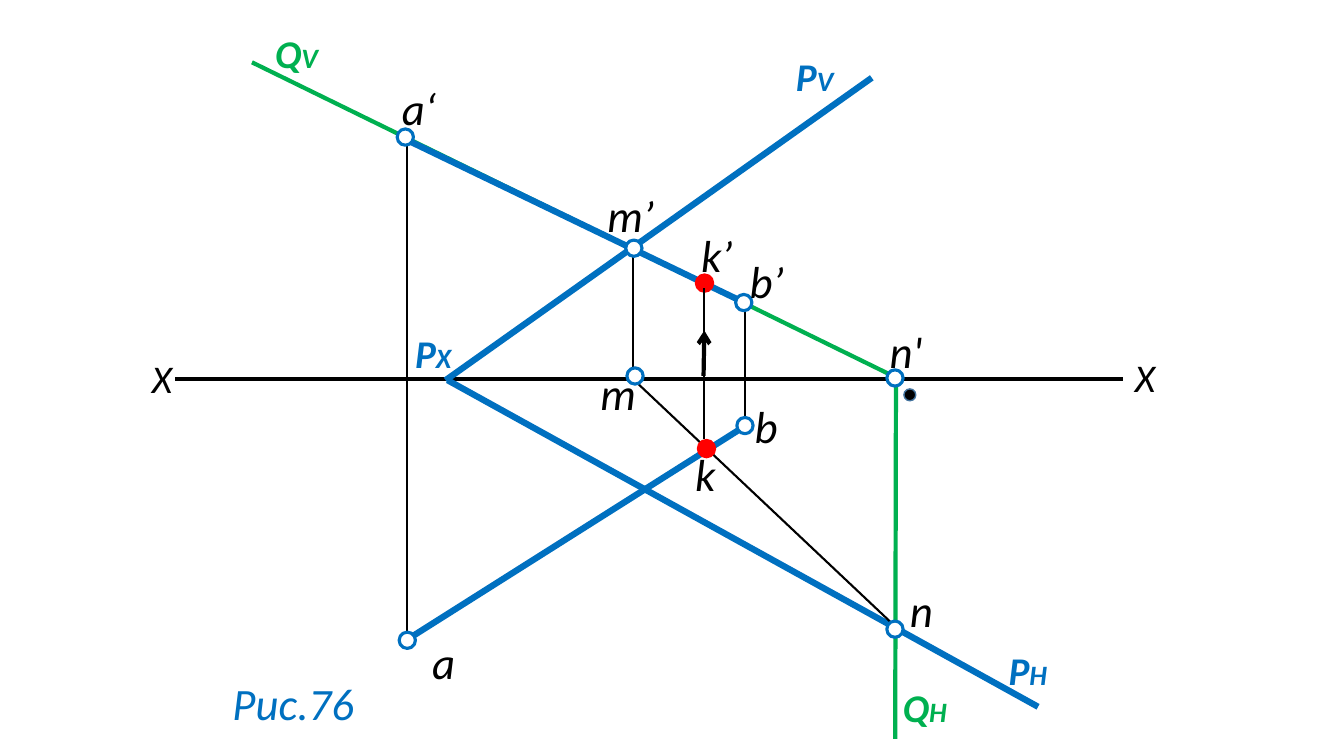
from lxml.etree import SubElement
from pptx import Presentation
from pptx.dml.color import RGBColor
from pptx.enum.shapes import MSO_CONNECTOR as CONNECTOR, MSO_SHAPE as SHAPE
from pptx.enum.text import MSO_AUTO_SIZE as AUTO_SIZE
from pptx.oxml.ns import qn
from pptx.util import Cm, Pt

BLACK = RGBColor(0x00, 0x00, 0x00)
WHITE = RGBColor(0xFF, 0xFF, 0xFF)
BLUE = RGBColor(0x00, 0x70, 0xC0)
GREEN = RGBColor(0x00, 0xB0, 0x50)
RED = RGBColor(0xFF, 0x00, 0x00)
STEEL = RGBColor(0x43, 0x73, 0x9E)

PLANES_AND_AXIS = [
    (15.95, 6.27, 15.95, 9.5, BLACK, 1.5),
    (22.66, 9.55, 6.35, 1.57, GREEN, 3),
    (18.77, 7.54, 18.77, 10.85, BLACK, 1.5),
    (28.3, 9.55, 4.42, 9.55, BLACK, 3),
    (26.16, 17.81, 11.28, 9.58, BLUE, 4.5),
    (21.97, 1.96, 11.23, 9.58, BLUE, 4.5),
    (18.85, 7.67, 10.26, 3.53, BLUE, 4.5),
    (10.26, 3.56, 10.26, 16.05, BLACK, 1.5),
    (15.93, 9.53, 22.63, 15.85, BLACK, 1.5),
    (22.58, 9.63, 22.56, 18.62, GREEN, 3),
]
ARROW = (17.73, 9.47, 17.75, 8.33, BLACK, 3)
SEGMENT_AB = (18.72, 10.77, 10.21, 16.15, BLUE, 4.5)
PROJECTION_K = (17.75, 7.26, 17.75, 11.07, BLACK, 1.5)

OPEN_POINTS = [
    (18.57, 10.52), (10.06, 15.93), (10.01, 3.25), (22.35, 15.65),
    (15.8, 9.27), (15.77, 6.05), (18.54, 7.42), (22.35, 9.32),
]
RED_POINTS = [(17.6, 11.1), (17.55, 6.93)]

POINT_LABELS = [
    ("n'", 22.17, 8.03, 1.75),
    ("m’", 15.06, 4.6, 1.75),
    ("m", 14.88, 9.09, 1.09),
    ("a", 10.64, 15.88, 1.09),
    ("a‘", 9.88, 1.91, 1.6),
    ("b", 18.77, 9.91, 1.09),
    ("b’", 18.64, 6.27, 1.6),
    ("n", 22.68, 14.55, 1.09),
    ("k’", 17.42, 5.61, 1.55),
    ("k", 17.27, 11.13, 1.09),
]
AXIS_LABELS = [("X", 28.35, 8.79, 2.26), ("X", 3.58, 8.81, 1.68)]
TRACE_LABELS = [
    ("Q", "H", 22.5, 17.09, GREEN),
    ("Q", "V", 6.68, 0.61, GREEN),
    ("P", "X", 10.21, 8.18, BLUE),
    ("P", "V", 19.81, 1.19, BLUE),
    ("P", "H", 25.17, 16.15, BLUE),
]


def add_line(s, x1, y1, x2, y2, color, width, arrow=False):
    """Draw a straight line, optionally with an open arrowhead at its end."""
    line = s.shapes.add_connector(CONNECTOR.STRAIGHT, Cm(x1), Cm(y1), Cm(x2), Cm(y2))
    line.line.color.rgb = color
    line.line.width = Pt(width)
    if arrow:
        SubElement(line.line._get_or_add_ln(), qn("a:tailEnd"), type="arrow")
    SubElement(line._element.spPr, qn("a:effectLst"))


def add_point(s, x, y, fill, outline, size=0.41, width=2.25):
    """Draw a round point marker."""
    sp = s.shapes.add_shape(SHAPE.OVAL, Cm(x), Cm(y), Cm(size), Cm(size))
    sp.shadow.inherit = False
    sp.fill.solid()
    sp.fill.fore_color.rgb = fill
    sp.line.color.rgb = outline
    sp.line.width = Pt(width)


def add_label(s, text, x, y, width, size=32, color=BLACK, index=""):
    """Write an italic label; a label with a smaller index is bold."""
    height = 1.63 if size == 32 else 1.45
    tf = s.shapes.add_textbox(Cm(x), Cm(y), Cm(width), Cm(height)).text_frame
    tf.word_wrap = True
    tf.auto_size = AUTO_SIZE.SHAPE_TO_FIT_TEXT
    p = tf.paragraphs[0]
    for part, part_size in ((text, size), (index, 20)):
        if part:
            r = p.add_run()
            r.text = part
            r.font.name = "Calibri"
            r.font.size = Pt(part_size)
            r.font.italic = True
            r.font.bold = bool(index)
            r.font.color.rgb = color


def main():
    """Build the slide and save it."""
    prs = Presentation()
    prs.slide_width, prs.slide_height = Cm(33.87), Cm(19.05)
    s = prs.slides.add_slide(prs.slide_layouts[6])

    for line in PLANES_AND_AXIS:
        add_line(s, *line)
    add_line(s, *ARROW, arrow=True)
    add_line(s, *SEGMENT_AB)

    for x, y in OPEN_POINTS:
        add_point(s, x, y, WHITE, BLUE)
    for x, y in RED_POINTS:
        add_point(s, x, y, RED, RED)
    add_point(s, 22.78, 9.8, BLACK, STEEL, size=0.3, width=1)

    for label in POINT_LABELS:
        add_label(s, *label)
    for label in AXIS_LABELS:
        add_label(s, *label, size=28)
    for text, index, x, y, color in TRACE_LABELS:
        add_label(s, text, x, y, 1.8, 28, color, index)
    add_label(s, "Рис.76", 5.61, 16.89, 4.42, color=BLUE)

    add_line(s, *PROJECTION_K)
    prs.save("out.pptx")


if __name__ == "__main__":
    main()
